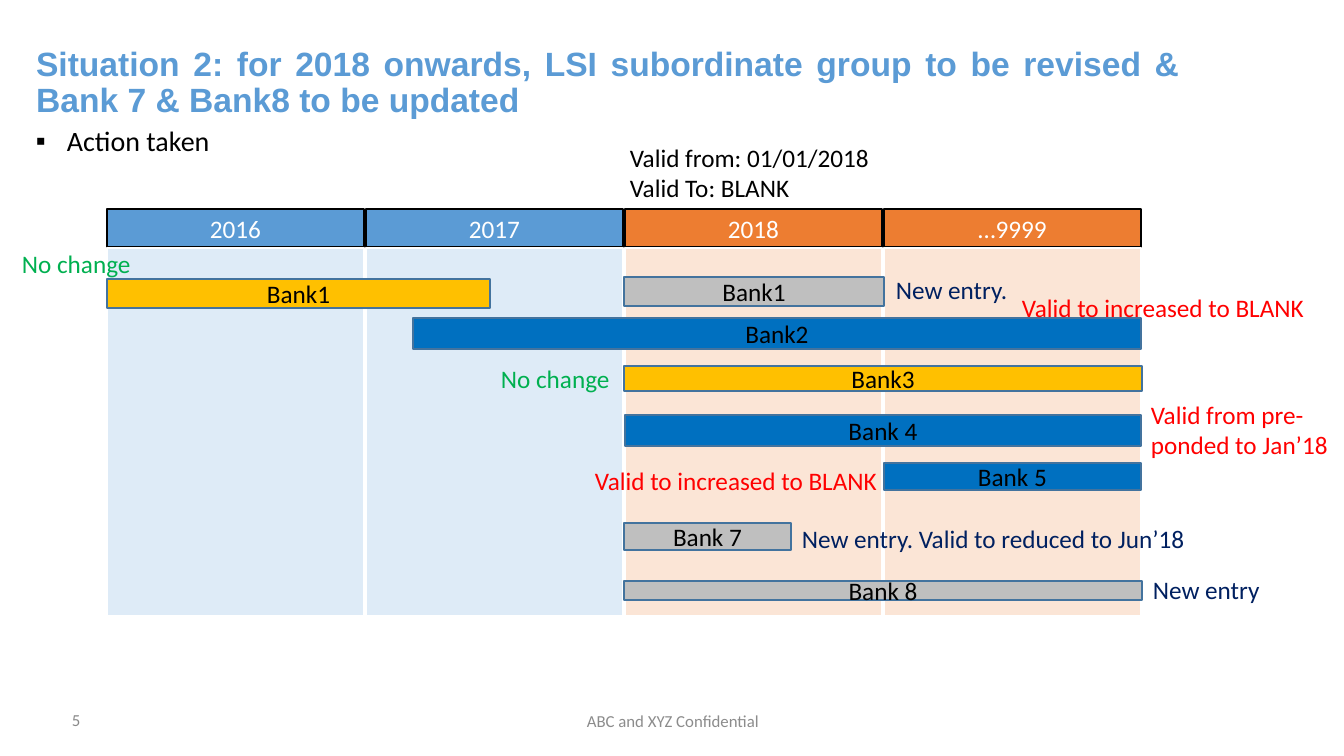
from typing import NamedTuple

from lxml import etree
from pptx import Presentation
from pptx.dml.color import RGBColor
from pptx.enum.shapes import MSO_SHAPE
from pptx.enum.text import MSO_ANCHOR, MSO_AUTO_SIZE, PP_ALIGN
from pptx.oxml.ns import qn
from pptx.util import Emu, Pt

EMU_PER_PX = 914400 / 100.8

BLACK, WHITE = "000000", "FFFFFF"
BLUE, ORANGE = "5B9BD5", "ED7D31"
PALE_BLUE, PALE_ORANGE = "DEEBF7", "FBE5D6"
UNCHANGED, UPDATED, ADDED = "FFC000", "0070C0", "BFBFBF"
BAR_LINE = "43739E"
GREEN, RED, NAVY = "00B050", "FF0000", "002060"

COLUMN_LEFT, COLUMN_STEP, COLUMN_WIDTH = 107, 259, 257
HEADER_TOP, HEADER_HEIGHT = 209, 38
BODY_TOP, BODY_HEIGHT = 248, 368


class Box(NamedTuple):
    """Left, top, width and height in pixels."""
    left: int
    top: int
    width: int
    height: int


class Year(NamedTuple):
    """One column of the timeline."""
    name: str
    header: str
    body: str


class Bar(NamedTuple):
    """The validity period of one bank."""
    name: str
    box: Box
    fill: str


class Label(NamedTuple):
    """A free text; each line is a paragraph."""
    lines: tuple[str, ...]
    box: Box
    color: str
    size: int = 18
    align: PP_ALIGN = PP_ALIGN.LEFT
    anchor: MSO_ANCHOR = MSO_ANCHOR.TOP
    wrap: bool = True


YEARS = [
    Year("2016", BLUE, PALE_BLUE),
    Year("2017", BLUE, PALE_BLUE),
    Year("2018", ORANGE, PALE_ORANGE),
    Year("…9999", ORANGE, PALE_ORANGE),
]

BARS = [
    Bar("Bank1", Box(107, 279, 383, 29), UNCHANGED),
    Bar("Bank1", Box(624, 277, 260, 29), ADDED),
    Bar("Bank2", Box(413, 318, 728, 31), UPDATED),
    Bar("Bank3", Box(624, 366, 518, 25), UNCHANGED),
    Bar("Bank 4", Box(625, 415, 516, 31), UPDATED),
    Bar("Bank 5", Box(884, 463, 257, 27), UPDATED),
    Bar("Bank 7", Box(624, 523, 167, 27), ADDED),
    Bar("Bank 8", Box(624, 581, 518, 19), ADDED),
]

LABELS = [
    Label(("Valid from: 01/01/2018", "Valid To: BLANK"), Box(620, 137, 262, 72), BLACK, wrap=False),
    Label(("No change",), Box(12, 243, 166, 40), GREEN),
    Label(("New entry.",), Box(886, 269, 210, 40), NAVY),
    Label(("Valid to increased to BLANK",), Box(1012, 287, 336, 40), RED),
    Label(("No change",), Box(491, 358, 166, 40), GREEN),
    Label(("Valid from pre-ponded to Jan’18",), Box(1141, 394, 201, 72), RED),
    Label(("Valid to increased to BLANK",), Box(585, 460, 336, 40), RED),
    Label(("New entry. Valid to reduced to Jun’18",), Box(792, 518, 484, 40), NAVY),
    Label(("New entry",), Box(1143, 569, 182, 40), NAVY),
    Label(("5",), Box(62, 700, 302, 40), "898989", 12, anchor=MSO_ANCHOR.MIDDLE),
    Label(("ABC and XYZ Confidential",), Box(446, 701, 454, 40), "8C8C8C", 12,
          PP_ALIGN.CENTER, MSO_ANCHOR.MIDDLE),
]

ACTION = Label(("Action taken",), Box(26, 119, 1262, 383), BLACK, 20)


def px(pixels):
    """Turn pixels into EMU."""
    return Emu(round(pixels * EMU_PER_PX))


def rgb(color):
    """Turn a hex string into a colour."""
    return RGBColor.from_string(color)


def place(box):
    """Give a box as EMU values for the add methods."""
    return [px(value) for value in box]


def style(paragraph, size, color, align, font="Calibri", bold=False):
    """Set the alignment and font of a paragraph's runs."""
    paragraph.alignment = align
    for run in paragraph.runs:
        run.font.name = font
        run.font.size = Pt(size)
        run.font.bold = bold
        run.font.color.rgb = rgb(color)


def add_rect(slide, box, fill, line, text="", text_color=BLACK):
    """Draw an outlined rectangle with optional centred text."""
    shape = slide.shapes.add_shape(MSO_SHAPE.RECTANGLE, *place(box))
    shape.shadow.inherit = False
    shape.fill.solid()
    shape.fill.fore_color.rgb = rgb(fill)
    shape.line.color.rgb = rgb(line)
    shape.line.width = Pt(1)
    if text:
        shape.text_frame.text = text
        shape.text_frame.vertical_anchor = MSO_ANCHOR.MIDDLE
        style(shape.text_frame.paragraphs[0], 18, text_color, PP_ALIGN.CENTER)


def add_label(slide, label):
    """Draw a text box and return its text frame."""
    frame = slide.shapes.add_textbox(*place(label.box)).text_frame
    frame.word_wrap = label.wrap
    frame.vertical_anchor = label.anchor
    frame.text = "\n".join(label.lines)
    for paragraph in frame.paragraphs:
        style(paragraph, label.size, label.color, label.align)
    return frame


def add_bullet(paragraph, indent):
    """Give a paragraph a square bullet with a hanging indent."""
    properties = paragraph._p.get_or_add_pPr()
    properties.set("marL", str(px(indent)))
    properties.set("indent", str(-px(indent)))
    etree.SubElement(properties, qn("a:buFont")).set("typeface", "Arial")
    etree.SubElement(properties, qn("a:buChar")).set("char", "▪")


def set_title(slide, text, box):
    """Fill, move and format the title placeholder."""
    title = slide.shapes.title
    title.left, title.top, title.width, title.height = place(box)
    frame = title.text_frame
    frame.text = text
    frame.word_wrap = True
    frame.auto_size = MSO_AUTO_SIZE.NONE
    frame.vertical_anchor = MSO_ANCHOR.TOP
    paragraph = frame.paragraphs[0]
    paragraph.line_spacing = 0.9
    style(paragraph, 24, BLUE, PP_ALIGN.JUSTIFY, "Arial", True)


def add_years(slide):
    """Draw the header and body of each timeline column."""
    for index, year in enumerate(YEARS):
        left = COLUMN_LEFT + index * COLUMN_STEP
        header = Box(left, HEADER_TOP, COLUMN_WIDTH, HEADER_HEIGHT)
        body = Box(left, BODY_TOP, COLUMN_WIDTH, BODY_HEIGHT)
        add_rect(slide, header, year.header, BLACK, year.name, WHITE)
        add_rect(slide, body, year.body, WHITE)


def main():
    """Build and save the slide."""
    deck = Presentation()
    deck.slide_width, deck.slide_height = px(1344), px(756)
    slide = deck.slides.add_slide(deck.slide_layouts[5])
    set_title(slide, "Situation 2: for 2018 onwards, LSI subordinate group to be revised "
              "& Bank 7 & Bank8 to be updated", Box(26, 42, 1164, 117))
    add_bullet(add_label(slide, ACTION).paragraphs[0], 31)
    add_years(slide)
    for bar in BARS:
        add_rect(slide, bar.box, bar.fill, BAR_LINE, bar.name)
    for label in LABELS:
        add_label(slide, label)
    deck.save("out.pptx")


main()
